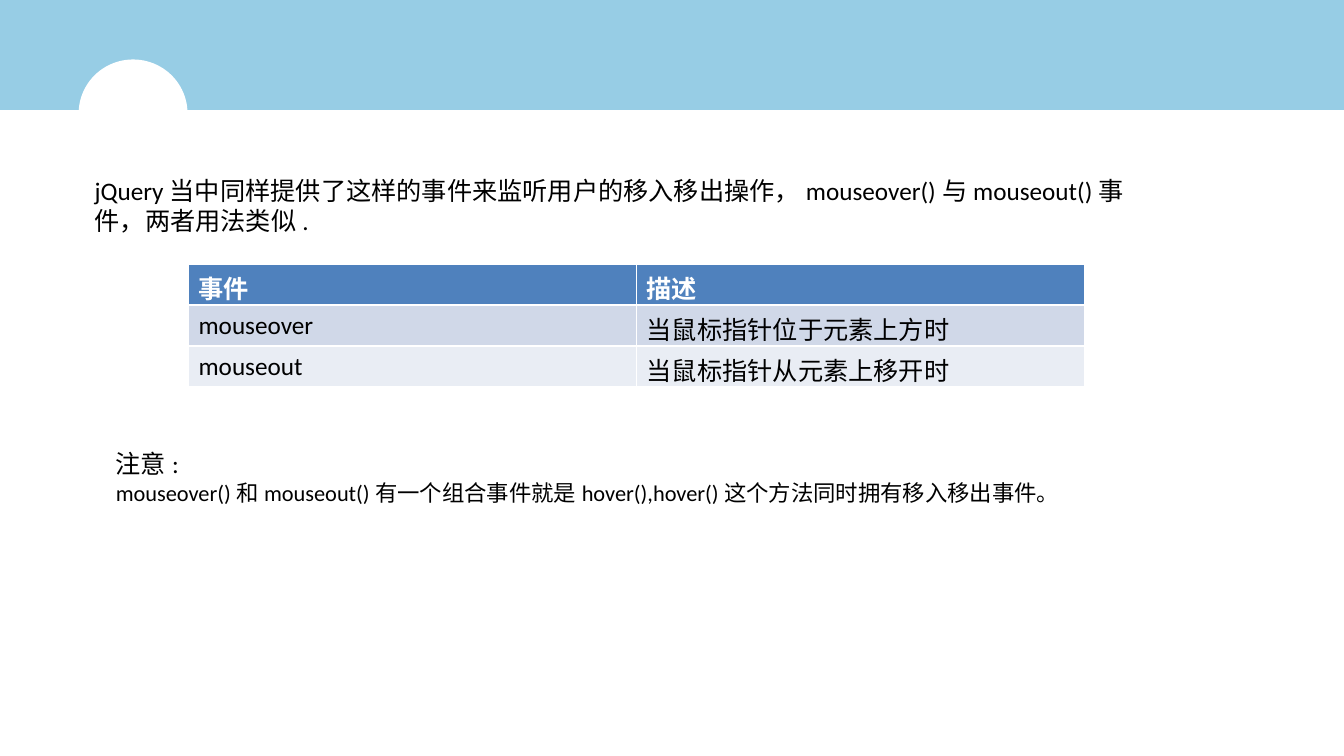
from dataclasses import dataclass

from pptx import Presentation
from pptx.dml.color import RGBColor
from pptx.enum.shapes import MSO_SHAPE
from pptx.enum.text import MSO_AUTO_SIZE
from pptx.slide import Slide
from pptx.text.text import TextFrame
from pptx.util import Inches, Pt


@dataclass(frozen=True)
class Theme:
    font: str = "Calibri"
    text_size: int = 18
    detail_size: int = 16
    text: str = "000000"
    white: str = "FFFFFF"
    band: str = "97CDE5"
    header: str = "4F81BD"
    rows: tuple[str, str] = ("D0D8E8", "E9EDF4")


@dataclass(frozen=True)
class Box:
    left: float
    top: float
    width: float
    height: float

    def emu(self) -> list[int]:
        return [Inches(v) for v in (self.left, self.top, self.width, self.height)]


@dataclass(frozen=True)
class Decoration:
    shape: MSO_SHAPE
    box: Box
    fill: str


@dataclass(frozen=True)
class Line:
    text: str
    size: int


@dataclass(frozen=True)
class TextBlock:
    box: Box
    lines: tuple[Line, ...]


THEME = Theme()

DECORATIONS = (
    Decoration(MSO_SHAPE.RECTANGLE, Box(0, 0, 13.33, 1.09), THEME.band),
    Decoration(MSO_SHAPE.OVAL, Box(0.78, 0.59, 1.08, 1.07), THEME.white),
)
INTRO = TextBlock(Box(0.84, 1.69, 10.65, 0.71), (
    Line("jQuery当中同样提供了这样的事件来监听用户的移入移出操作，"
         "mouseover()与mouseout()事件，两者用法类似.", THEME.text_size),
))
NOTE = TextBlock(Box(1.05, 4.4, 9.84, 0.98), (
    Line("注意:", THEME.text_size),
    Line("mouseover()和mouseout()有一个组合事件就是hover(),"
         "hover()这个方法同时拥有移入移出事件。", THEME.detail_size),
))
EVENTS_BOX = Box(1.87, 2.62, 8.89, 1.22)
EVENTS = (
    ("事件", "描述"),
    ("mouseover", "当鼠标指针位于元素上方时"),
    ("mouseout", "当鼠标指针从元素上移开时"),
)


def write(tf: TextFrame, text: str, *, size: int = THEME.text_size,
          color: str = THEME.text, bold: bool = False) -> None:
    """Fill the first paragraph if it is empty, otherwise add a new one."""
    p = tf.paragraphs[0] if not tf.text else tf.add_paragraph()
    r = p.add_run()
    r.text = text
    r.font.name = THEME.font
    r.font.size = Pt(size)
    r.font.bold = bold
    r.font.color.rgb = RGBColor.from_string(color)


def add_decoration(s: Slide, item: Decoration) -> None:
    sp = s.shapes.add_shape(item.shape, *item.box.emu())
    sp.shadow.inherit = False
    sp.fill.solid()
    sp.fill.fore_color.rgb = RGBColor.from_string(item.fill)
    sp.line.fill.background()


def add_text(s: Slide, block: TextBlock) -> None:
    tf = s.shapes.add_textbox(*block.box.emu()).text_frame
    tf.word_wrap = True
    tf.auto_size = MSO_AUTO_SIZE.SHAPE_TO_FIT_TEXT
    for line in block.lines:
        write(tf, line.text, size=line.size)


def add_events_table(s: Slide) -> None:
    """White borders come from the default table style."""
    table = s.shapes.add_table(len(EVENTS), len(EVENTS[0]), *EVENTS_BOX.emu()).table
    for i, row in enumerate(EVENTS):
        is_header = i == 0
        fill = THEME.header if is_header else THEME.rows[(i - 1) % 2]
        for j, text in enumerate(row):
            cell = table.cell(i, j)
            cell.fill.solid()
            cell.fill.fore_color.rgb = RGBColor.from_string(fill)
            write(cell.text_frame, text, bold=is_header,
                  color=THEME.white if is_header else THEME.text)


def main() -> None:
    prs = Presentation()
    prs.slide_width, prs.slide_height = Inches(13.33), Inches(7.5)
    s = prs.slides.add_slide(prs.slide_layouts.get_by_name("Blank"))
    for item in DECORATIONS:
        add_decoration(s, item)
    add_text(s, INTRO)
    add_events_table(s)
    add_text(s, NOTE)
    prs.save("out.pptx")


if __name__ == "__main__":
    main()
